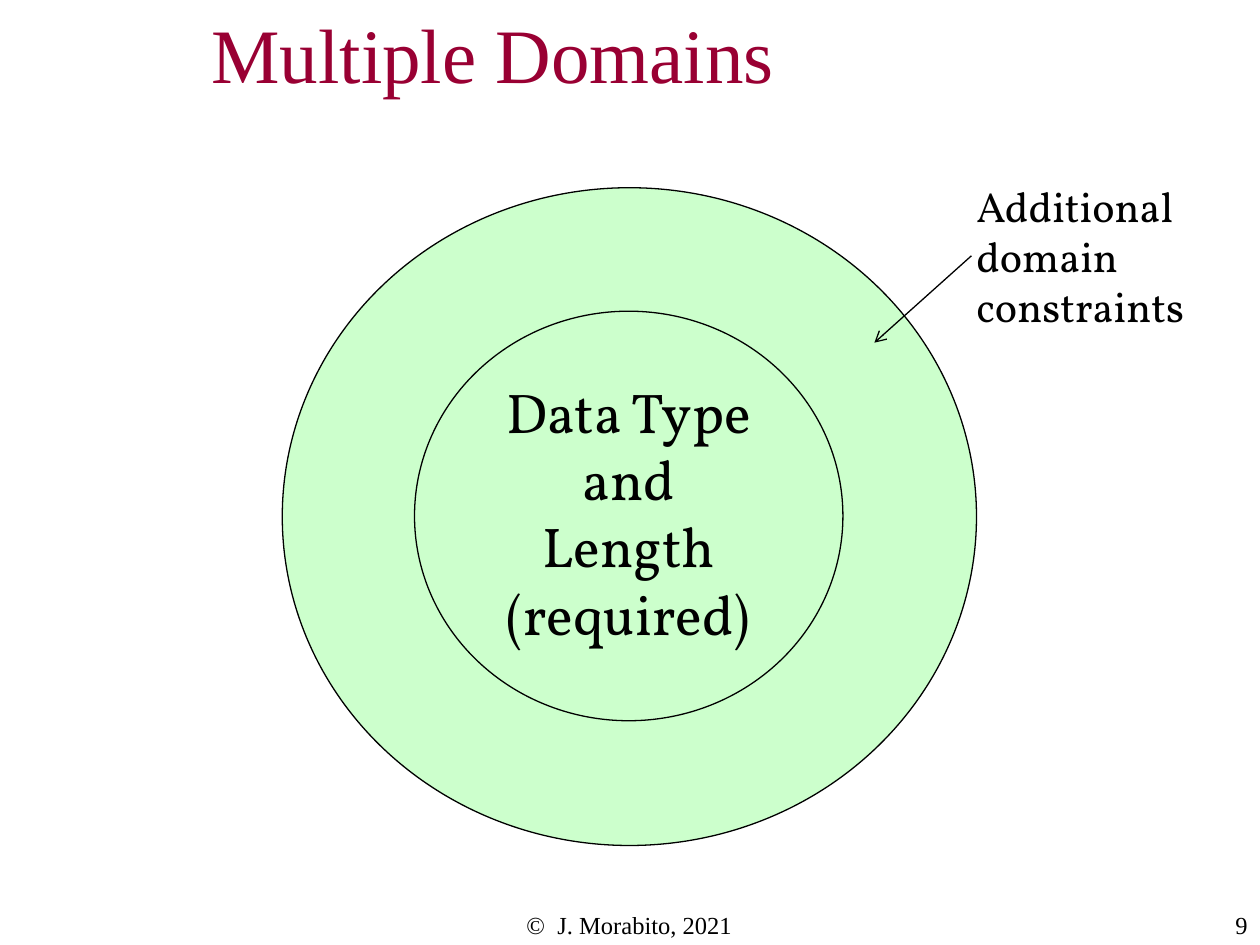
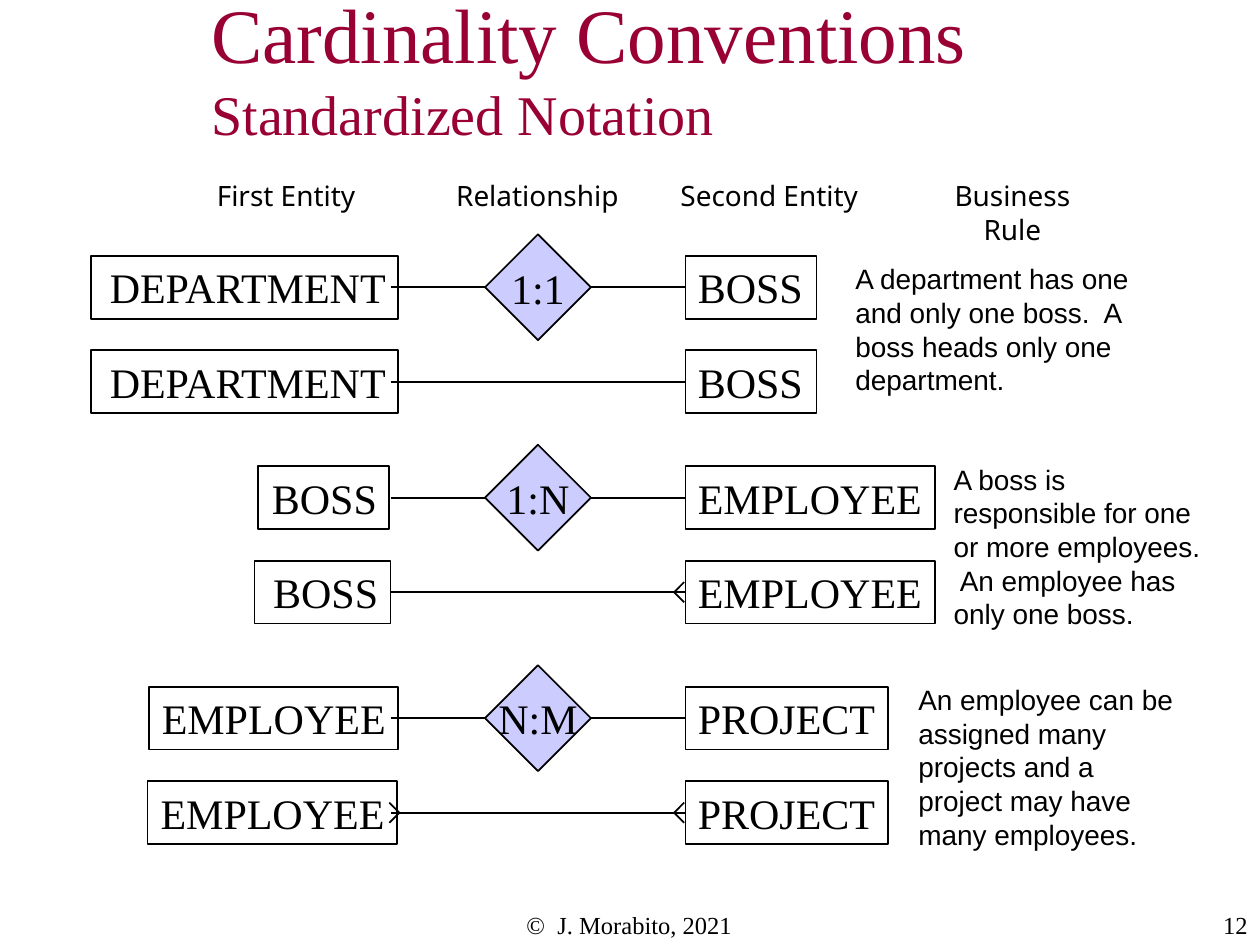
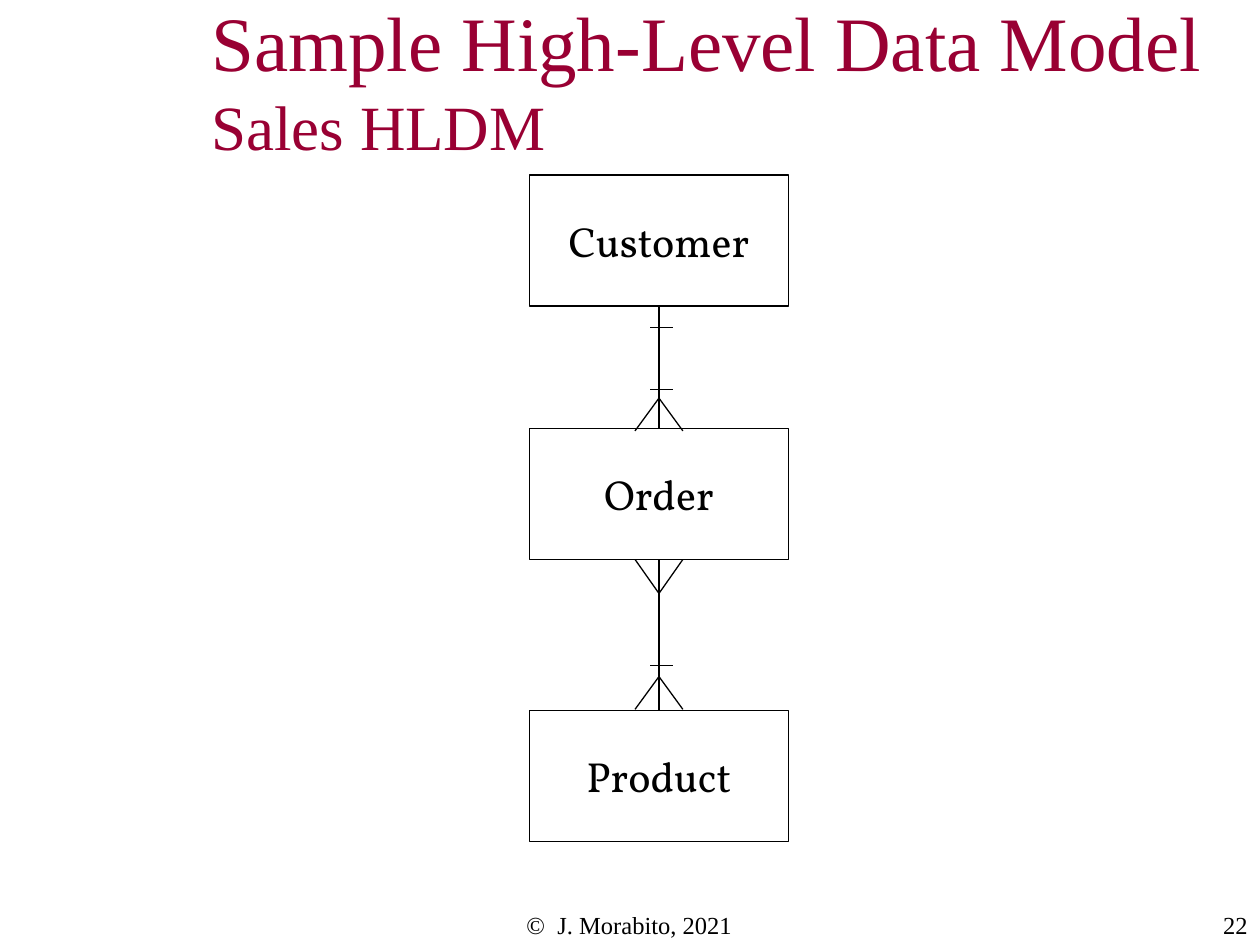
from dataclasses import dataclass
from pptx import Presentation
from pptx.dml.color import RGBColor as Rgb
from pptx.enum.shapes import MSO_CONNECTOR as Link, MSO_SHAPE as Kind
from pptx.enum.text import MSO_ANCHOR as Anchor, MSO_AUTO_SIZE as Fit, PP_ALIGN as Align
from pptx.oxml.ns import qn
from pptx.util import Inches, Pt
from lxml import etree


@dataclass(frozen=True)
class Theme:
    ink: str = "000000"
    title: str = "990033"
    mint: str = "CCFFCC"
    lilac: str = "CCCCFF"
    serif: str = "Times New Roman"
    book: str = "Vollkorn"
    sans: str = "Arial"
    head: str = "Noto Sans"
    huge: int = 44
    big: int = 32
    mid: int = 24
    note: int = 16
    foot: int = 14
    thin: float = 0.75
    line: float = 1


T = Theme()


def color(code):
    return Rgb.from_string(code)


def style(font, face, size, code=T.ink):
    font.name, font.size = face, Pt(size)
    font.color.rgb = color(code)


def write(shape, lines, face, size, align=Align.LEFT, anchor=Anchor.TOP, wrap=True, grow=False):
    frame = shape.text_frame
    frame.word_wrap = wrap
    frame.auto_size = Fit.SHAPE_TO_FIT_TEXT if grow else Fit.NONE
    frame.vertical_anchor = anchor
    frame.text = "\n".join(lines)
    for para in frame.paragraphs:
        para.alignment = align
        style(para.font, face, size)


def label(slide, box, lines, face, size, **opts):
    shape = slide.shapes.add_textbox(*map(Inches, box))
    write(shape, lines, face, size, **opts)


def solid(slide, kind, box, fill=None, width=T.line):
    shape = slide.shapes.add_shape(kind, *map(Inches, box))
    shape.shadow.inherit = False
    if fill:
        shape.fill.solid()
        shape.fill.fore_color.rgb = color(fill)
    else:
        shape.fill.background()
    shape.line.color.rgb = color(T.ink)
    shape.line.width = Pt(width)
    return shape


def stroke(slide, start, end, width=T.line, arrow=False):
    line = slide.shapes.add_connector(Link.STRAIGHT, *map(Inches, (*start, *end)))
    line.line.color.rgb = color(T.ink)
    line.line.width = Pt(width)
    prop = line._element.spPr
    if arrow:
        etree.SubElement(prop.find(qn("a:ln")), qn("a:tailEnd"), type="arrow")
    etree.SubElement(prop, qn("a:effectLst"))


def fork(slide, tip, ends, width=T.line):
    for end in ends:
        stroke(slide, tip, end, width)


def start(deck, number, title, high, sub=None, size=T.big):
    slide = deck.slides.add_slide(deck.slide_layouts[6])
    shape = slide.shapes.add_textbox(*map(Inches, (1.58, 0.08, 8.42, high)))
    frame = shape.text_frame
    frame.word_wrap = True
    frame.vertical_anchor = Anchor.MIDDLE
    frame.margin_top, frame.margin_bottom = Inches(0.1), 0
    para = frame.paragraphs[0]
    run = para.add_run()
    run.text = title
    style(run.font, T.serif, T.huge, T.title)
    if sub:
        para.add_line_break()
        run = para.add_run()
        run.text = sub
        style(run.font, T.serif, size, T.title)
    label(slide, (3.41, 7.17, 3.17, 0.25), ["©  J. Morabito, 2021"], T.serif, T.foot, align=Align.CENTER)
    label(slide, (8.58, 7.17, 1.42, 0.33), [str(number)], T.serif, T.foot, align=Align.RIGHT)
    return slide


def rings(slide, box):
    left, top, wide, high = box
    solid(slide, Kind.OVAL, box, T.mint, T.thin)
    core = (left + 1.05, top + 0.98, wide - 2.11, high - 1.97)
    inner = solid(slide, Kind.OVAL, core, T.mint, T.thin)
    write(inner, ["Data Type", "and", "Length", "(required)"], T.book, T.big, align=Align.CENTER)
    label(slide, (left + 5.41, top - 0.11, 1.94, 1.3), ["Additional", "domain", "constraints"],
          T.book, T.mid, wrap=False, grow=True)
    stroke(slide, (left + 5.47, top + 0.54), (left + 4.7, top + 1.23), T.thin, arrow=True)


def entity(slide, box, name, align):
    shape = solid(slide, Kind.RECTANGLE, box)
    write(shape, [name], T.serif, T.mid, align=align, wrap=False, grow=True)


def rule(slide, top, first, second, ratio, forks, note):
    far, near, tall, drop = 5.44, 3.1, 0.5, 0.75
    name, *spans = first
    for row, (left, wide) in enumerate(spans):
        high = top + row * drop
        entity(slide, (left, high, wide, tall), name, Align.RIGHT)
        entity(slide, (far, high, second[1], tall), second[0], Align.LEFT)
    axis = top + tall / 2
    side, gem = 0.84, 3.85
    shape = solid(slide, Kind.DIAMOND, (gem, axis - side / 2, side, side), T.lilac)
    write(shape, [ratio], T.serif, T.mid, align=Align.CENTER, anchor=Anchor.MIDDLE, wrap=False)
    stroke(slide, (near, axis), (gem, axis))
    stroke(slide, (gem + side, axis), (far, axis))
    base = axis + drop
    stroke(slide, (near, base), (far, base))
    for tip, end in forks:
        fork(slide, (tip, base), [(end, base - 0.08), (end, base + 0.08)])
    text, left, shift, wide, high = note
    label(slide, (left, top + shift, wide, high), [text], T.sans, T.note, grow=True)


def heads(slide, top):
    for name, left, wide in (("First Entity", 1.62, 1.3), ("Relationship", 3.52, 1.49),
                             ("Second Entity", 5.3, 1.61), ("Business Rule", 7.22, 1.63)):
        label(slide, (left, top, wide, 0.37), [name], T.head, T.note,
              align=Align.CENTER, wrap=False, grow=True)


def model(slide, left, tops):
    wide, high = 2.06, 1.04
    axis, half = left + wide / 2, 0.19
    for name, top in zip(("Customer", "Order", "Product"), tops):
        shape = solid(slide, Kind.RECTANGLE, (left, top, wide, high), width=T.thin)
        write(shape, [name], T.book, T.mid, align=Align.CENTER, anchor=Anchor.MIDDLE, wrap=False)
    for above, below in zip(tops, tops[1:]):
        stroke(slide, (axis, above + high), (axis, below), T.thin)
    one, two, three = tops
    for tip, end in ((two - 0.24, two + 0.02), (two + high + 0.27, two + high), (three - 0.27, three - 0.01)):
        fork(slide, (axis, tip), [(axis - half, end), (axis + half, end)], T.thin)
    for bar in (one + high + 0.17, two - 0.31, three - 0.36):
        stroke(slide, (axis - 0.07, bar), (axis + 0.11, bar), T.thin)


def main():
    deck = Presentation()
    deck.slide_width, deck.slide_height = Inches(10), Inches(7.5)

    slide = start(deck, 9, "Multiple Domains", 0.58)
    rings(slide, (2.24, 1.49, 5.51, 5.22))

    slide = start(deck, 12, "Cardinality Conventions", 0.8, "Standardized Notation")
    heads(slide, 1.37)
    right, left = (5.35, 5.43), (3.17, 3.09)
    rule(slide, 2.03, ("DEPARTMENT", (0.72, 2.44), (0.72, 2.44)), ("BOSS", 1.04), "1:1", [],
         ("A department has one and only one boss.  A boss heads only one department.",
          6.69, 0, 2.58, 1.17))
    rule(slide, 3.7, ("BOSS", (2.05, 1.04), (2.02, 1.08)), ("EMPLOYEE", 1.98), "1:N", [right],
         ("A boss is responsible for one or more employees.  An employee has only one boss.",
          7.47, -0.08, 2.17, 1.44))
    rule(slide, 5.45, ("EMPLOYEE", (1.18, 1.98), (1.17, 1.98)), ("PROJECT", 1.61), "N:M", [left, right],
         ("An employee can be assigned many projects and a project may have many employees.",
          7.19, -0.08, 2.29, 1.44))

    slide = start(deck, 22, "Sample High-Level Data Model", 0.99, "Sales HLDM", 36)
    model(slide, 4.2, (1.39, 3.4, 5.64))

    deck.save("out.pptx")


if __name__ == "__main__":
    main()
